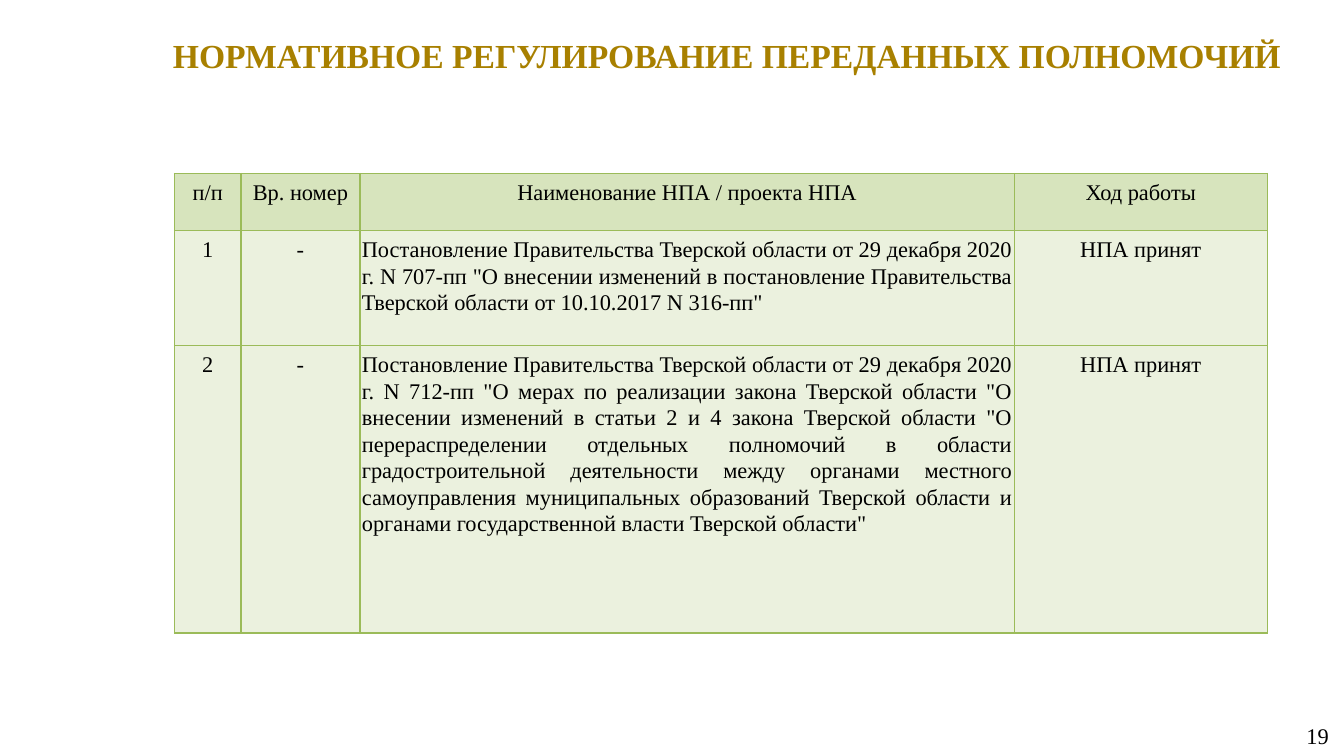
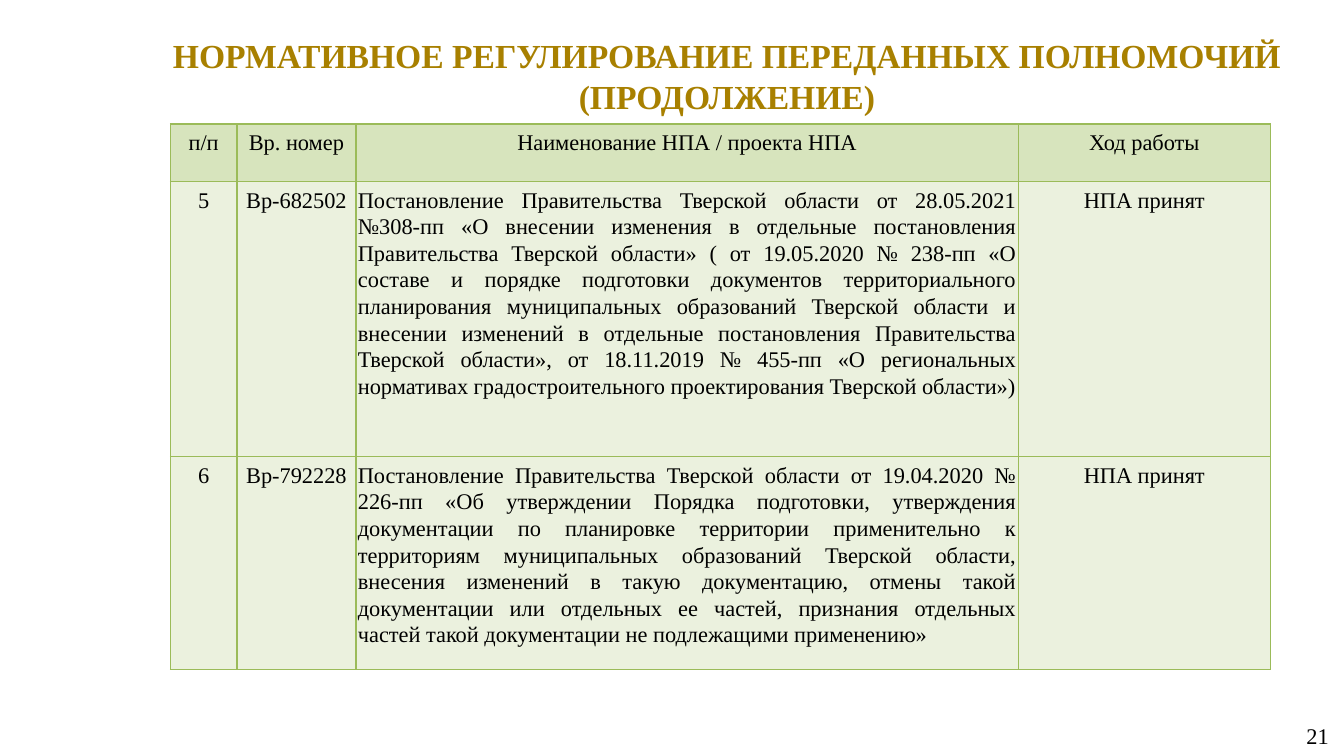
"""Build two slides that list the legal acts on delegated powers."""
from dataclasses import dataclass

from lxml.etree import SubElement
from pptx import Presentation
from pptx.dml.color import RGBColor
from pptx.enum.text import MSO_ANCHOR as Anchor, MSO_AUTO_SIZE as AutoSize, PP_ALIGN as Align
from pptx.oxml.ns import qn
from pptx.util import Inches, Pt


@dataclass(frozen=True)
class Theme:
    font: str = "Times New Roman"
    gold: str = "A88000"
    ink: str = "000000"
    border: str = "9BBB59"
    header_fill: str = "D7E4BD"
    body_fill: str = "EBF1DE"
    title_size: int = 24
    text_size: int = 16
    border_width: float = 0.96


@dataclass(frozen=True)
class Act:
    index: str
    number: str
    name: str
    status: str = "НПА принят"


@dataclass(frozen=True)
class ActsPage:
    title: str
    title_height: float
    page_number: str
    left: float
    top: float
    columns: tuple[float, ...]
    rows: tuple[float, ...]
    acts: tuple[Act, ...]


THEME = Theme()
HEADING = "НОРМАТИВНОЕ РЕГУЛИРОВАНИЕ ПЕРЕДАННЫХ ПОЛНОМОЧИЙ"
COLUMN_HEADS = ("п/п", "Вр. номер", "Наименование НПА / проекта НПА", "Ход работы")
NAME_COLUMN = 2

PAGES = (
    ActsPage(
        HEADING, 0.53, "19", 1.73, 1.72, (0.66, 1.18, 6.49, 2.51), (0.57, 1.14, 2.85),
        (
            Act("1", "-", 'Постановление Правительства Тверской области от 29 декабря 2020 г. '
                'N 707-пп "О внесении изменений в постановление Правительства Тверской области '
                'от 10.10.2017 N 316-пп"'),
            Act("2", "-", 'Постановление Правительства Тверской области от 29 декабря 2020 г. '
                'N 712-пп "О мерах по реализации закона Тверской области "О внесении изменений '
                'в статьи 2 и 4 закона Тверской области "О перераспределении отдельных '
                'полномочий в области градостроительной деятельности между органами местного '
                'самоуправления муниципальных образований Тверской области и органами '
                'государственной власти Тверской области"'),
        ),
    ),
    ActsPage(
        f"{HEADING} (ПРОДОЛЖЕНИЕ)", 0.93, "21", 1.69, 1.23, (0.66, 1.18, 6.57, 2.5),
        (0.57, 2.73, 2.11),
        (
            Act("5", "Вр-682502", "Постановление Правительства Тверской области от 28.05.2021 "
                "№308-пп «О внесении изменения в отдельные постановления Правительства Тверской "
                "области» ( от 19.05.2020 № 238-пп «О составе и порядке подготовки документов "
                "территориального планирования муниципальных образований Тверской области и "
                "внесении изменений в отдельные постановления Правительства Тверской области», "
                "от 18.11.2019 № 455-пп «О региональных нормативах градостроительного "
                "проектирования Тверской области»)"),
            Act("6", "Вр-792228", "Постановление Правительства Тверской области от 19.04.2020 "
                "№ 226-пп «Об утверждении Порядка подготовки, утверждения документации по "
                "планировке территории применительно к территориям муниципальных образований "
                "Тверской области, внесения изменений в такую документацию, отмены такой "
                "документации или отдельных ее частей, признания отдельных частей такой "
                "документации не подлежащими применению»"),
        ),
    ),
)


def write_text(frame, text: str, *, size: float = THEME.text_size, color: str = THEME.ink,
               bold: bool = False, align=Align.CENTER, line_spacing: float = 1.0,
               space_after: float = 0) -> None:
    paragraph = frame.paragraphs[0]
    paragraph.alignment = align
    paragraph.line_spacing = line_spacing
    paragraph.space_before = Pt(0)
    paragraph.space_after = Pt(space_after)
    run = paragraph.add_run()
    run.text = text
    run.font.name = THEME.font
    run.font.size = Pt(size)
    run.font.bold = bold
    run.font.color.rgb = RGBColor.from_string(color)


def set_frame(frame, anchor) -> None:
    frame.word_wrap = True
    frame.auto_size = AutoSize.NONE
    frame.vertical_anchor = anchor
    frame.margin_left = frame.margin_right = Inches(0.13)
    frame.margin_top = frame.margin_bottom = Inches(0.07)


def add_title(slide, text: str, height: float) -> None:
    title = slide.shapes.title
    title.left, title.top = Inches(1.47), Inches(0.28)
    title.width, title.height = Inches(11.48), Inches(height)
    set_frame(title.text_frame, Anchor.TOP)
    write_text(title.text_frame, text, size=THEME.title_size, color=THEME.gold, bold=True)


def add_page_number(slide, number: str) -> None:
    footer = slide.shapes.add_textbox(Inches(10.21), Inches(7.1), Inches(3.1), Inches(0.39))
    set_frame(footer.text_frame, Anchor.MIDDLE)
    write_text(footer.text_frame, number, align=Align.RIGHT)


def add_borders(cell) -> None:
    properties = cell._tc.get_or_add_tcPr()
    for side in ("lnL", "lnR", "lnT", "lnB"):
        line = SubElement(properties, qn(f"a:{side}"), w=str(int(Pt(THEME.border_width))))
        fill = SubElement(line, qn("a:solidFill"))
        SubElement(fill, qn("a:srgbClr"), val=THEME.border)


def format_cell(cell, text: str, fill: str, align) -> None:
    cell.margin_left = cell.margin_right = Inches(0.02)
    cell.margin_top = cell.margin_bottom = Inches(0.05)
    cell.vertical_anchor = Anchor.TOP
    add_borders(cell)
    cell.fill.solid()
    cell.fill.fore_color.rgb = RGBColor.from_string(fill)
    write_text(cell.text_frame, text, align=align, line_spacing=1.07, space_after=8)


def add_acts_table(slide, page: ActsPage) -> None:
    table = slide.shapes.add_table(
        len(page.rows), len(page.columns), Inches(page.left), Inches(page.top),
        Inches(sum(page.columns)), Inches(sum(page.rows))).table
    for column, width in zip(table.columns, page.columns):
        column.width = Inches(width)
    for row, height in zip(table.rows, page.rows):
        row.height = Inches(height)
    lines = [COLUMN_HEADS] + [(act.index, act.number, act.name, act.status) for act in page.acts]
    for row_index, line in enumerate(lines):
        is_header = row_index == 0
        fill = THEME.header_fill if is_header else THEME.body_fill
        for column_index, text in enumerate(line):
            justified = column_index == NAME_COLUMN and not is_header
            align = Align.JUSTIFY if justified else Align.CENTER
            format_cell(table.cell(row_index, column_index), text, fill, align)


def main() -> None:
    deck = Presentation()
    deck.slide_width, deck.slide_height = Inches(13.33), Inches(7.5)
    title_only = deck.slide_layouts.get_by_name("Title Only")
    for page in PAGES:
        slide = deck.slides.add_slide(title_only)
        add_title(slide, page.title, page.title_height)
        add_page_number(slide, page.page_number)
        add_acts_table(slide, page)
    deck.save("out.pptx")


if __name__ == "__main__":
    main()
